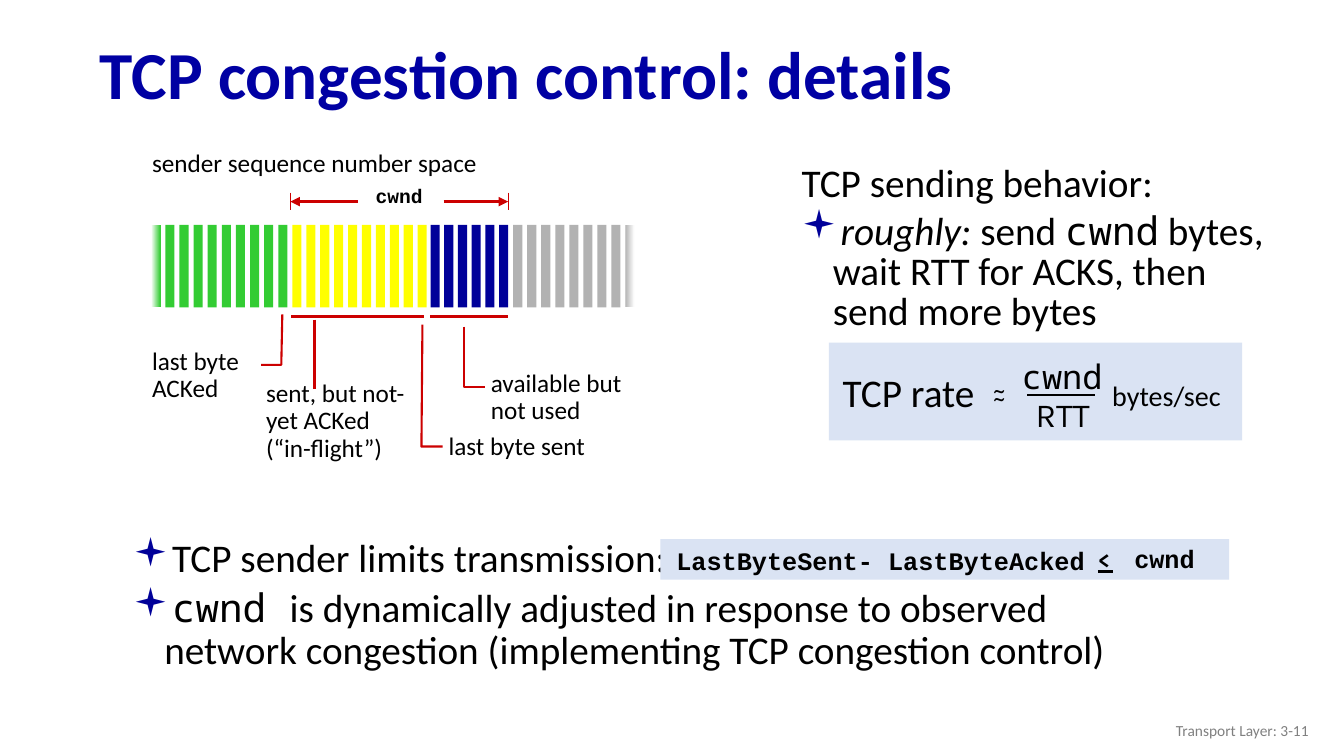
from collections import namedtuple

from lxml.etree import SubElement
from pptx import Presentation
from pptx.dml.color import RGBColor
from pptx.enum.shapes import MSO_CONNECTOR, MSO_SHAPE
from pptx.enum.text import MSO_ANCHOR, MSO_AUTO_SIZE, PP_ALIGN
from pptx.oxml.ns import qn
from pptx.util import Inches, Pt

Box = namedtuple("Box", "left top width height")

COLORS = {
    "title": "0000A3", "bullet": "000099", "text": "000000", "panel": "DAE3F3",
    "acked": "33CC33", "in_flight": "FFFF00", "available": "000099",
    "unusable": "B2B2B2", "white": "FFFFFF", "marker": "CC0000", "footer": "808080",
}
LABEL = {"name": "Calibri", "size": Pt(18)}
LIST = {"name": "Calibri", "size": Pt(28)}
LIST_CODE = {"name": "Noto Sans Mono", "size": Pt(28)}
CODE = {"name": "Courier New", "size": Pt(18), "bold": True}
SYMBOL = {"name": "Karla", "size": Pt(18)}


def rgb(color):
    return RGBColor.from_string(COLORS[color])


def inside(box, x, y, width, height):
    return Box(box.left + x, box.top + y, width, height)


def add_run(paragraph, text, style, color="text"):
    run = paragraph.add_run()
    run.text = text
    for attribute, value in style.items():
        setattr(run.font, attribute, value)
    run.font.color.rgb = rgb(color)


def add_label(slide, box, lines, style, color="text", wrap=True, **layout):
    frame = slide.shapes.add_textbox(*map(Inches, box)).text_frame
    frame.word_wrap = wrap
    for index, line in enumerate(lines):
        paragraph = frame.add_paragraph() if index else frame.paragraphs[0]
        for attribute, value in layout.items():
            setattr(paragraph, attribute, value)
        add_run(paragraph, line, style, color)
    return frame


def add_centred(slide, box, text, style, **layout):
    add_label(slide, box, [text], style, wrap=False, alignment=PP_ALIGN.CENTER, **layout)


def add_block(slide, box, color):
    block = slide.shapes.add_shape(MSO_SHAPE.RECTANGLE, *map(Inches, box))
    block.shadow.inherit = False
    block.fill.solid()
    block.fill.fore_color.rgb = rgb(color)
    block.line.fill.background()
    return block


def add_line(slide, box, start, end, color="marker", width=1.5, arrow=False):
    ends = [Inches(origin + offset) for point in (start, end)
            for origin, offset in zip(box[:2], point)]
    line = slide.shapes.add_connector(MSO_CONNECTOR.STRAIGHT, *ends)
    line.line.color.rgb = rgb(color)
    line.line.width = Pt(width)
    properties = line._element.spPr
    if arrow:
        SubElement(properties.find(qn("a:ln")), qn("a:tailEnd"), type="triangle")
    SubElement(properties, qn("a:effectLst"))


def add_elbow(slide, box, *points):
    start, *rest = [(Inches(box.left + x), Inches(box.top + y)) for x, y in points]
    builder = slide.shapes.build_freeform(*start)
    builder.add_line_segments(rest, close=False)
    elbow = builder.convert_to_shape()
    elbow.shadow.inherit = False
    elbow.fill.background()
    elbow.line.color.rgb = rgb("marker")
    elbow.line.width = Pt(1.5)


def place(placeholder, box, anchor):
    for attribute, value in box._asdict().items():
        setattr(placeholder, attribute, Inches(value))
    frame = placeholder.text_frame
    frame.auto_size = MSO_AUTO_SIZE.NONE
    frame.vertical_anchor = anchor
    return frame


def fill_title(slide, box):
    paragraph = place(slide.shapes.title, box, MSO_ANCHOR.MIDDLE).paragraphs[0]
    paragraph.alignment = PP_ALIGN.LEFT
    paragraph.line_spacing = 0.9
    heading = {"name": "Calibri", "size": Pt(48), "bold": True}
    add_run(paragraph, "TCP congestion control: details", heading, "title")


def fill_list(placeholder, box, items, spacing):
    frame = place(placeholder, box, MSO_ANCHOR.TOP)
    for index, (bulleted, runs) in enumerate(items):
        paragraph = frame.add_paragraph() if index else frame.paragraphs[0]
        paragraph.line_spacing = spacing
        paragraph.space_before = Pt(5.6)
        properties = paragraph._p.get_or_add_pPr()
        properties.set("marL", str(Inches(0.31)))
        properties.set("indent", str(-Inches(0.31)))
        if bulleted:
            bullet_color = SubElement(properties, qn("a:buClr"))
            SubElement(bullet_color, qn("a:srgbClr"), val=COLORS["bullet"])
            SubElement(properties, qn("a:buFont"), typeface="Wingdings")
            SubElement(properties, qn("a:buChar"), char="▪")
        else:
            SubElement(properties, qn("a:buNone"))
        for text, style in runs:
            add_run(paragraph, text, style)


def draw_byte_strip(slide, box):
    segments = [("acked", 0, 10, 0.14), ("in_flight", 1.4, 10, 0.138),
                ("available", 2.77, 6, 0.136), ("unusable", 3.59, 9, 0.139)]
    stripes = [add_block(slide, inside(box, start + index * pitch, 0, 0.09, box.height), color)
               for color, start, count, pitch in segments for index in range(count)]
    for stripe, fade in ((stripes[0], ("white", "acked")), (stripes[-1], ("unusable", "white"))):
        stripe.fill.gradient()
        stripe.fill.gradient_angle = 0
        for stop, position, color in zip(stripe.fill.gradient_stops, (0, 1), fade):
            stop.position = position
            stop.color.rgb = rgb(color)


def draw_sequence_space(slide, box):
    add_label(slide, inside(box, 0, 0, 3.52, 0.4), ["sender sequence number space"],
              LABEL, wrap=False)
    draw_byte_strip(slide, inside(box, 0.09, 0.82, 4.79, 0.82))

    window_code = {**CODE, "size": Pt(14)}
    add_centred(slide, inside(box, 2.11, 0.39, 0.88, 0.38), "cwnd", window_code, line_spacing=0.9)
    for inner, outer in ((2.14, 1.47), (2.99, 3.63)):
        add_line(slide, box, (inner, 0.59), (outer, 0.59), width=2.25, arrow=True)
        add_line(slide, box, (outer, 0.5), (outer, 0.67), width=0.75)
    for start, end in ((1.48, 2.8), (2.86, 3.63)):
        add_line(slide, box, (start, 1.73), (end, 1.73), width=2.25)
    add_line(slide, box, (1.71, 1.76), (1.71, 2.45))

    add_elbow(slide, box, (1.39, 1.71), (1.38, 2.21), (1.18, 2.21))
    add_elbow(slide, box, (2.78, 1.81), (2.77, 3.02), (2.98, 3.02))
    add_elbow(slide, box, (3.19, 1.83), (3.19, 2.43), (3.4, 2.43))

    captions = [
        ((0, 2, 1.08, 0.65), ["last byte", "ACKed"]),
        ((1.13, 2.32, 1.82, 0.92), ["sent, but not-yet ACKed", "(“in-flight”)"]),
        ((2.94, 2.84, 1.75, 0.37), ["last byte sent"]),
        ((3.36, 2.22, 1.75, 0.65), ["available but not used"]),
    ]
    for area, lines in captions:
        add_label(slide, inside(box, *area), lines, LABEL, line_spacing=0.9)


def draw_rate_formula(slide, box):
    add_block(slide, box, "panel")
    add_centred(slide, inside(box, 0.03, 0.2, 1.52, 0.57), "TCP rate", LIST)
    for top in (0.26, 0.34):
        add_centred(slide, inside(box, 1.18, top, 1.02, 0.4), "~", SYMBOL)
    add_centred(slide, inside(box, 1.81, 0.08, 1.01, 0.51), "cwnd",
                {**LIST_CODE, "size": Pt(24)})
    add_centred(slide, inside(box, 1.92, 0.46, 0.8, 0.51), "RTT", {**SYMBOL, "size": Pt(24)})
    add_line(slide, box, (1.97, 0.52), (2.64, 0.52), "text")
    add_centred(slide, inside(box, 2.7, 0.31, 1.3, 0.44), "bytes/sec", {**LABEL, "size": Pt(20)})


def draw_limit_formula(slide, box):
    add_block(slide, box, "panel")
    add_label(slide, inside(box, 0.06, 0.06, 4.81, 0.37), ["LastByteSent- LastByteAcked"],
              CODE, line_spacing=0.85, space_before=Pt(3.6))
    add_centred(slide, inside(box, 4.21, 0.02, 0.38, 0.37), "<",
                {**SYMBOL, "size": Pt(16), "bold": True})
    add_line(slide, box, (4.34, 0.32), (4.49, 0.32), "text")
    add_centred(slide, inside(box, 4.6, -0.01, 0.8, 0.4), "cwnd", CODE)


def draw_footer(slide, box):
    frame = add_label(slide, box, ["Transport Layer: 3-11"], {**LABEL, "size": Pt(11)},
                      "footer", alignment=PP_ALIGN.RIGHT)
    frame.vertical_anchor = MSO_ANCHOR.MIDDLE


def main():
    deck = Presentation()
    deck.slide_width, deck.slide_height = Inches(13.33), Inches(7.5)
    slide = deck.slides.add_slide(deck.slide_layouts[3])
    behavior = [
        (False, [("TCP sending behavior:", LIST)]),
        (True, [("roughly:", {**LIST, "italic": True}), (" send ", LIST), ("cwnd", LIST_CODE),
                (" bytes, wait RTT for ACKS, then send more bytes", LIST)]),
    ]
    limits = [
        (True, [("TCP sender limits transmission:", LIST)]),
        (True, [("cwnd ", LIST_CODE),
                ("is dynamically adjusted in response to observed network congestion "
                 "(implementing TCP congestion control)", LIST)]),
    ]
    fill_title(slide, Box(0.89, 0.28, 12.46, 0.98))
    fill_list(slide.placeholders[1], Box(7.85, 1.59, 5.02, 2.68), behavior, 0.85)
    fill_list(slide.placeholders[2], Box(1.22, 5.29, 10.53, 1.85), limits, 0.9)
    draw_sequence_space(slide, Box(1.41, 1.41, 5.11, 3.24))
    draw_rate_formula(slide, Box(8.22, 3.4, 4.1, 0.97))
    draw_limit_formula(slide, Box(6.55, 5.35, 5.64, 0.4))
    draw_footer(slide, Box(10.08, 7.05, 3, 0.4))
    deck.save("out.pptx")


if __name__ == "__main__":
    main()
